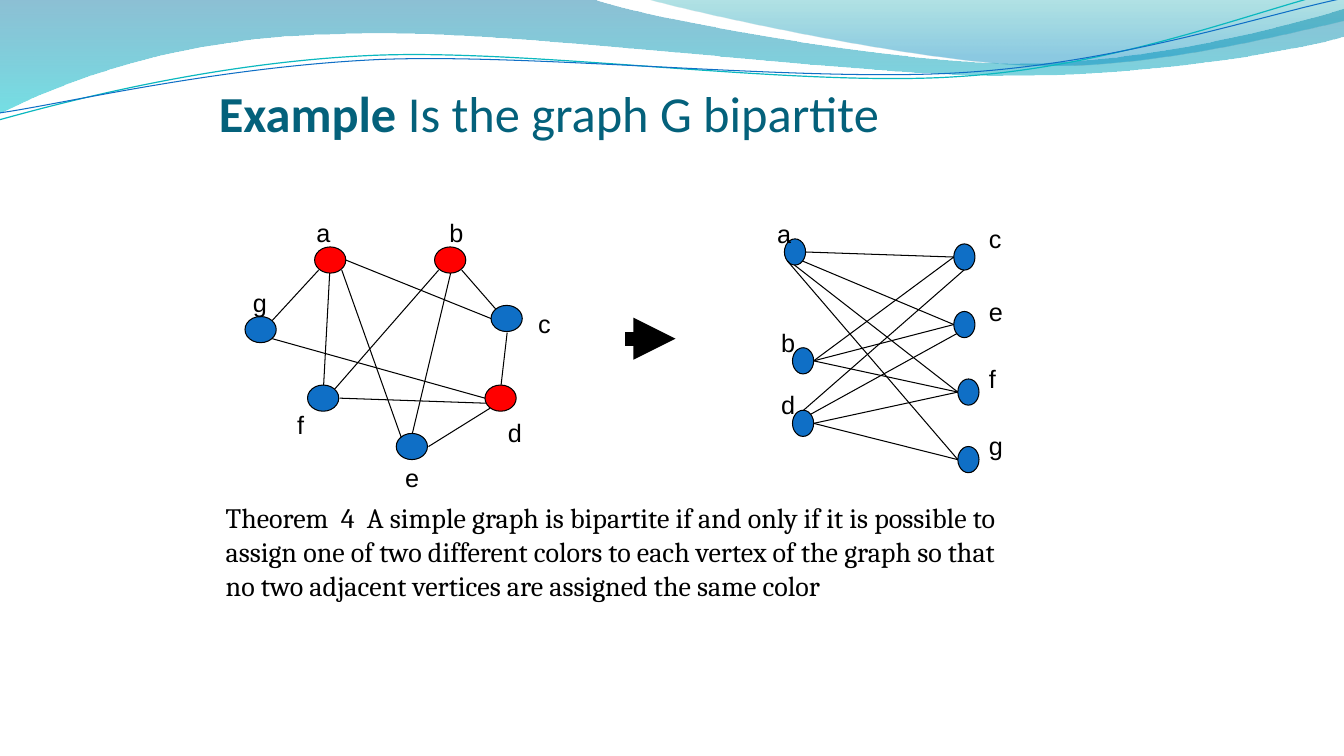
"""Build the slide that asks whether graph G is bipartite."""
import math
from dataclasses import dataclass
from typing import Any, Optional

from lxml import etree
from pptx import Presentation
from pptx import util as u
from pptx.dml import color as dml
from pptx.enum import shapes as es, text as et
from pptx.oxml import ns

PX = 9144
BLUE, RED, BLACK, TEAL = "0F6FC6", "FF0000", "000000", "04617B"
TILT = 2.7


@dataclass
class Node:
    name: str
    left: int
    top: int
    tag: tuple[int, int]
    fill: str = BLUE
    wide: int = 34


@dataclass
class Graph:
    size: tuple[int, int]
    nodes: list[Node]
    edges: list[tuple[int, int, int, int]]


@dataclass
class Stop:
    place: float
    fill: str
    alpha: int


@dataclass
class Wave:
    start: tuple[int, int]
    steps: list[tuple[int, ...]]


@dataclass
class Band(Wave):
    stops: tuple[Stop, Stop]


@dataclass
class Curl(Wave):
    mid: tuple[int, int]
    line: str
    width: float


BANDS = [
    Band((0, 0), [(587, -1), (634, 17, 885, 63, 1011, 63), (1138, 63, 1278, 26, 1333, 9),
                  (1335, 36), (1311, 44, 1160, 76, 994, 75), (829, 75, 509, 28, 343, 34),
                  (172, 36, 61, 83, -1, 113), (0, 0)],
         (Stop(0, "0074A1", 45), Stop(1, "00C6CF", 55))),
    Band((639, -1), [(679, 11, 909, 62, 1025, 65), (1141, 69, 1282, 32, 1333, 21),
                     (1333, 0), (639, -1)],
         (Stop(0, "00A1A9", 30), Stop(0.8, "008BBF", 45))),
]
CURLS = [
    Curl((-1, 119), [(64, 101, 211, 62, 369, 55), (527, 48, 790, 87, 950, 76),
                     (1110, 66, 1252, 8, 1331, -10)], (665, 57), "0AB8BF", 0.85),
    Curl((0, 112), [(63, 103, 218, 66, 378, 59), (537, 53, 796, 82, 955, 72),
                    (1115, 62, 1255, 14, 1334, -2)], (667, 59), BLUE, 0.75),
]

MIXED = Graph(
    (31, 26),
    [Node("a", 312, 245, (304, 211), RED), Node("b", 431, 245, (436, 211), RED),
     Node("g", 243, 314, (241, 280)), Node("f", 305, 382, (285, 401), wide=27),
     Node("e", 393, 430, (392, 454)), Node("d", 481, 382, (494, 409), RED),
     Node("c", 487, 303, (524, 301), wide=33)],
    [(270, 318, 316, 268), (343, 258, 487, 316), (458, 268, 492, 307), (435, 268, 332, 386),
     (270, 336, 481, 395), (503, 330, 497, 382), (339, 268, 398, 434), (409, 430, 447, 271),
     (327, 271, 321, 382), (337, 395, 482, 400), (425, 443, 486, 405)])

SPLIT = Graph(
    (21, 26),
    [Node("a", 778, 237, (761, 212)), Node("b", 786, 345, (765, 320)),
     Node("g", 950, 443, (971, 422)), Node("f", 950, 376, (971, 356), wide=27),
     Node("e", 946, 309, (971, 289)), Node("d", 786, 407, (765, 381)),
     Node("c", 946, 242, (971, 217), wide=33)],
    [(950, 456, 781, 259), (799, 250, 946, 255), (807, 358, 946, 255), (807, 358, 950, 389),
     (950, 456, 807, 420), (956, 268, 797, 407), (796, 259, 946, 322), (946, 322, 807, 358),
     (788, 263, 950, 389), (950, 389, 807, 420), (949, 331, 804, 411)])

THEOREM = ("Theorem  4  A simple graph is bipartite if and only if it is possible to "
           "assign one of two different colors to each vertex of the graph so that "
           "no two adjacent vertices are assigned the same color")


def emu(*vals: float) -> list[int]:
    """Turn px lengths into EMU."""
    return [u.Emu(round(val * PX)) for val in vals]


def rgb(code: str) -> dml.RGBColor:
    """Turn a hex string into a colour."""
    return dml.RGBColor.from_string(code)


def spin(x: float, y: float, mid: tuple[int, int]) -> tuple[float, float]:
    """Turn a point by the tilt around a centre."""
    cos, sin = math.cos(math.radians(TILT)), math.sin(math.radians(TILT))
    dx, dy = x - mid[0], y - mid[1]
    return mid[0] + dx * cos - dy * sin, mid[1] + dx * sin + dy * cos


def sweep(shapes: Any, wave: Wave) -> Any:
    """Draw the outline of a wave from lines and cubic curves."""
    pts = [wave.start] + [step[i:i + 2] for step in wave.steps for i in range(0, len(step), 2)]
    if isinstance(wave, Curl):
        pts = [spin(*point, wave.mid) for point in pts]
    first, *rest = [emu(*point) for point in pts]
    pen = shapes.build_freeform(*first, scale=1.0)
    pen.add_line_segments(rest, close=isinstance(wave, Band))
    shape = pen.convert_to_shape()
    shape.shadow.inherit = False
    legs = iter(list(shape.element.iter(ns.qn("a:lnTo"))))
    for step in wave.steps:
        leg = next(legs)
        if len(step) == 6:
            curve = etree.Element(ns.qn("a:cubicBezTo"))
            leg.addprevious(curve)
            for part in (leg, next(legs), next(legs)):
                curve.append(part[0])
                part.getparent().remove(part)
    return shape


def shade(shapes: Any, band: Band) -> None:
    """Draw a band with a see-through gradient."""
    shape = sweep(shapes, band)
    shape.line.fill.background()
    shape.fill.gradient()
    shape.fill.gradient_angle = 270
    for stop, mark in zip(band.stops, shape.fill.gradient_stops):
        mark.position = stop.place
        mark.color.rgb = rgb(stop.fill)
    for stop, tint in zip(band.stops, shape.element.iter(ns.qn("a:srgbClr"))):
        etree.SubElement(tint, ns.qn("a:alpha"), val=str(stop.alpha * 1000))


def trail(shapes: Any, curl: Curl) -> None:
    """Draw a tilted thin curve."""
    shape = sweep(shapes, curl)
    shape.rotation = 360 - TILT
    shape.fill.background()
    shape.line.color.rgb, shape.line.width = rgb(curl.line), u.Pt(curl.width)


def link(shapes: Any, ends: tuple[int, int, int, int], width: float = 0.75) -> Any:
    """Draw a black straight line and return it."""
    line = shapes.add_connector(es.MSO_CONNECTOR.STRAIGHT, *emu(*ends))
    line.line.color.rgb, line.line.width = rgb(BLACK), u.Pt(width)
    etree.SubElement(line.element.spPr, ns.qn("a:effectLst"))
    return line


def style(run: Any, font: str, size: int, fill: str, bold: Optional[bool] = None) -> None:
    """Format a run."""
    run.font.name, run.font.size, run.font.bold = font, u.Pt(size), bold
    run.font.color.rgb = rgb(fill)


def write(shapes: Any, box: tuple[int, int, int, int], words: str,
          font: str, size: int, wrap: bool) -> None:
    """Add a black text box."""
    frame = shapes.add_textbox(*emu(*box)).text_frame
    frame.word_wrap, frame.auto_size = wrap, et.MSO_AUTO_SIZE.SHAPE_TO_FIT_TEXT
    frame.text = words
    style(frame.paragraphs[0].runs[0], font, size, BLACK)


def plot(shapes: Any, graph: Graph) -> None:
    """Draw the nodes, edges and labels of a graph."""
    for node in graph.nodes:
        dot = shapes.add_shape(es.MSO_SHAPE.OVAL, *emu(node.left, node.top, *graph.size))
        dot.shadow.inherit = False
        dot.fill.solid()
        dot.fill.fore_color.rgb = rgb(node.fill)
        dot.line.color.rgb, dot.line.width = rgb(BLACK), u.Pt(0.75)
    for edge in graph.edges:
        link(shapes, edge)
    for node in graph.nodes:
        write(shapes, (*node.tag, node.wide, 40), node.name, "Arial", 18, False)


def head(title: Any) -> None:
    """Place and format the title."""
    title.left, title.top, title.width, title.height = emu(217, 77, 900, 64)
    frame = title.text_frame
    frame.margin_left, frame.margin_top, frame.margin_right, frame.margin_bottom = emu(0, 5, 0, 0)
    frame.vertical_anchor, frame.auto_size = et.MSO_ANCHOR.BOTTOM, et.MSO_AUTO_SIZE.NONE
    frame.text = "Example "
    para = frame.paragraphs[0]
    para.alignment = et.PP_ALIGN.LEFT
    para.add_run().text = "Is the graph G bipartite"
    for run, bold in zip(para.runs, (True, False)):
        style(run, "Calibri", 36, TEAL, bold)


def main() -> None:
    """Build and save the slide."""
    deck = Presentation()
    deck.slide_width, deck.slide_height = emu(1333, 750)
    shapes = deck.slides.add_slide(deck.slide_layouts[5]).shapes
    for band in BANDS:
        shade(shapes, band)
    pair = shapes.add_group_shape().shapes
    for curl in CURLS:
        trail(pair, curl)
    head(shapes.title)
    shapes.element.append(shapes.title.element)
    plot(shapes, MIXED)
    plot(shapes.add_group_shape().shapes, SPLIT)
    arrow = link(shapes, (620, 336, 670, 336), 10)
    edge = arrow.element.spPr.find(ns.qn("a:ln"))
    etree.SubElement(edge, ns.qn("a:tailEnd"), type="triangle")
    write(shapes, (214, 492, 813, 111), THEOREM, "Cambria", 20, True)
    deck.save("out.pptx")


if __name__ == "__main__":
    main()
